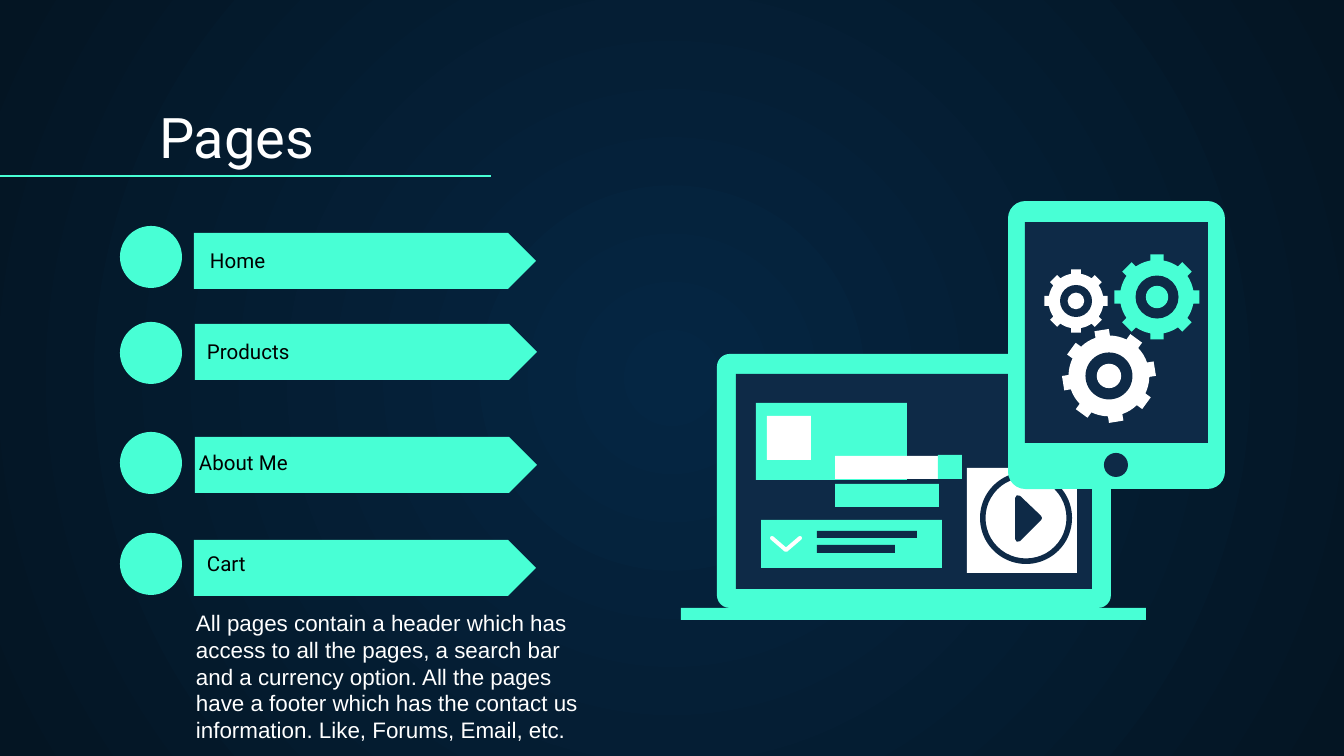
"""Build the "Pages" slide: four page arrows beside a laptop and a tablet."""
import math

import lxml.etree
import pptx
import pptx.dml.color
import pptx.enum.shapes
import pptx.enum.text
import pptx.oxml.ns
import pptx.util

MINT, NAVY, WHITE, BLACK = "48FFD5", "0E2A47", "FFFFFF", "000000"
KIND = pptx.enum.shapes.MSO_SHAPE
QN = pptx.oxml.ns.qn


def px(length):
    """Turn pixels into EMU."""
    return round(length * 914400 / 134.4)


def colour(value):
    """Turn a hex string into a colour."""
    return pptx.dml.color.RGBColor.from_string(value)


def paint_background(page, inner, outer):
    """Fill the page with a gradient that spreads from its centre."""
    fill = page.background.fill
    fill.gradient()
    for stop, value in zip(fill.gradient_stops, (inner, outer)):
        stop.color.rgb = colour(value)
    linear = page.element.find(".//" + QN("a:lin"))
    gradient = linear.getparent()
    gradient.remove(linear)
    centre = lxml.etree.SubElement(gradient, QN("a:path"), {"path": "circle"})
    sides = dict.fromkeys("ltrb", "50000")
    lxml.etree.SubElement(centre, QN("a:fillToRect"), sides)


def add_figure(page, kind, bounds, fill, adjustment=None):
    """Add a preset shape without outline or shadow."""
    shape = page.shapes.add_shape(kind, *map(px, bounds))
    shape.shadow.inherit = False
    shape.fill.solid()
    shape.fill.fore_color.rgb = colour(fill)
    shape.line.fill.background()
    if adjustment is not None:
        shape.adjustments[0] = adjustment
    return shape


def add_disc(page, centre, radius, fill):
    """Add a circle around a centre."""
    x, y = centre
    bounds = (x - radius, y - radius, 2 * radius, 2 * radius)
    return add_figure(page, KIND.OVAL, bounds, fill)


def add_outline(page, points, close=True):
    """Add a freeform through the points."""
    start, *others = [(px(x), px(y)) for x, y in points]
    builder = page.shapes.build_freeform(*start)
    builder.add_line_segments(others, close=close)
    shape = builder.convert_to_shape()
    shape.shadow.inherit = False
    return shape


def stroke_round(shape, value, width):
    """Give a shape a line with round ends and corners."""
    shape.line.color.rgb = colour(value)
    shape.line.width = px(width)
    line = shape.line._get_or_add_ln()
    line.set("cap", "rnd")
    lxml.etree.SubElement(line, QN("a:round"))


def add_gear(page, centre, radius, fill, tilt=0):
    """Add an eight-toothed gear with a ring hole and a hub."""
    body, half = radius * 0.86, radius * 0.155
    base = math.asin(half / body)
    gap = math.pi / 4 - 2 * base
    points = []
    for tooth in range(8):
        turn = math.radians(tooth * 45 + tilt)
        tip = math.asin(half / radius)
        polar = [(body, -base), (radius, -tip), (radius, tip)]
        polar += [(body, base + gap * step / 4) for step in range(4)]
        points += [(centre[0] + reach * math.sin(turn + angle),
                    centre[1] - reach * math.cos(turn + angle))
                   for reach, angle in polar]
    gear = add_outline(page, points)
    gear.fill.solid()
    gear.fill.fore_color.rgb = colour(fill)
    gear.line.fill.background()
    add_disc(page, centre, radius * 0.5, NAVY)
    add_disc(page, centre, radius * 0.26, fill)


def write(box, text, size, font, value, inset=13, anchor="BOTTOM"):
    """Put one left-aligned paragraph into a box."""
    frame = box.text_frame
    frame.text = text
    frame.word_wrap = True
    frame.auto_size = pptx.enum.text.MSO_AUTO_SIZE.NONE
    frame.vertical_anchor = pptx.enum.text.MSO_ANCHOR[anchor]
    frame.margin_left = frame.margin_right = px(13)
    frame.margin_top = frame.margin_bottom = px(inset)
    para = frame.paragraphs[0]
    para.alignment = pptx.enum.text.PP_ALIGN.LEFT
    span = para.runs[0]
    span.font.size = pptx.util.Pt(size)
    span.font.name = font
    span.font.color.rgb = colour(value)


def add_title(page, text):
    """Place the title and the rule below it."""
    title = page.shapes.title
    title.left, title.top, title.width, title.height = map(
        px, (146, 94, 1152, 89))
    write(title, text, 30, "Roboto", WHITE)
    rule = page.shapes.add_connector(
        pptx.enum.shapes.MSO_CONNECTOR.STRAIGHT, 0, px(176), px(491), px(176))
    rule.line.color.rgb = colour(MINT)
    rule.line.width = pptx.util.Pt(0.75)
    properties = rule._element.find(QN("p:spPr"))
    lxml.etree.SubElement(properties, QN("a:effectLst"))


def add_entry(page, name, disc_y, arrow, label):
    """Add a page name on an arrow with a disc before it."""
    add_disc(page, (151, disc_y), 31, MINT)
    add_figure(page, KIND.PENTAGON, (*arrow, 342, 56), MINT, 0.5)
    box = page.shapes.add_textbox(*map(px, (*label, 305, 28)))
    write(box, name, 11, "Roboto", BLACK)


def add_laptop(page):
    """Draw the laptop with the blocks on its screen."""
    add_figure(page, KIND.ROUNDED_RECTANGLE, (717, 354, 394, 254), MINT, 0.05)
    blocks = [
        ((736, 374, 356, 215), NAVY),
        ((681, 608, 465, 12), MINT),
        ((756, 403, 151, 77), MINT),
        ((767, 416, 44, 44), WHITE),
        ((761, 520, 181, 48), MINT),
        ((817, 531, 100, 7), NAVY),
        ((817, 545, 78, 8), NAVY),
        ((835, 484, 104, 23), MINT),
        ((835, 456, 103, 23), WHITE),
        ((938, 455, 24, 24), MINT),
        ((967, 468, 110, 105), WHITE),
    ]
    for bounds, fill in blocks:
        add_figure(page, KIND.RECTANGLE, bounds, fill)
    check = add_outline(page, [(772, 538), (786, 550), (800, 538)], False)
    check.fill.background()
    stroke_round(check, WHITE, 4)
    add_figure(page, KIND.DONUT, (980, 472, 92, 92), NAVY, 0.06)
    play = add_outline(page, [(1018, 498), (1018, 539), (1039, 518)])
    play.fill.solid()
    play.fill.fore_color.rgb = colour(NAVY)
    stroke_round(play, NAVY, 6)


def add_tablet(page):
    """Draw the tablet with three gears on its screen."""
    add_figure(page, KIND.ROUNDED_RECTANGLE, (1008, 201, 217, 288), MINT, 0.08)
    add_figure(page, KIND.RECTANGLE, (1025, 222, 183, 221), NAVY)
    add_disc(page, (1116, 465), 12, NAVY)
    add_gear(page, (1157, 297), 43, MINT)
    add_gear(page, (1076, 301), 32, WHITE)
    add_gear(page, (1109, 376), 47, WHITE, -9)


def main():
    """Build and save the deck."""
    deck = pptx.Presentation()
    deck.slide_width, deck.slide_height = px(1344), px(756)
    page = deck.slides.add_slide(deck.slide_layouts[5])
    paint_background(page, "052643", "041523")
    add_title(page, "Pages")
    entries = [
        ("Home", 257, (194, 233), (197, 258)),
        ("Products", 353, (195, 324), (194, 349)),
        ("About Me", 463, (195, 437), (186, 460)),
        ("Cart", 564, (194, 540), (194, 561)),
    ]
    for entry in entries:
        add_entry(page, *entry)
    add_laptop(page)
    add_tablet(page)
    note = page.shapes.add_textbox(*map(px, (183, 602, 423, 149)))
    write(note, "All pages contain a header which has access to all the pages, "
          "a search bar and a currency option. All the pages have a footer "
          "which has the contact us information. Like, Forums, Email, etc.",
          12, "Arial", WHITE, 7, "TOP")
    deck.save("out.pptx")


if __name__ == "__main__":
    main()
